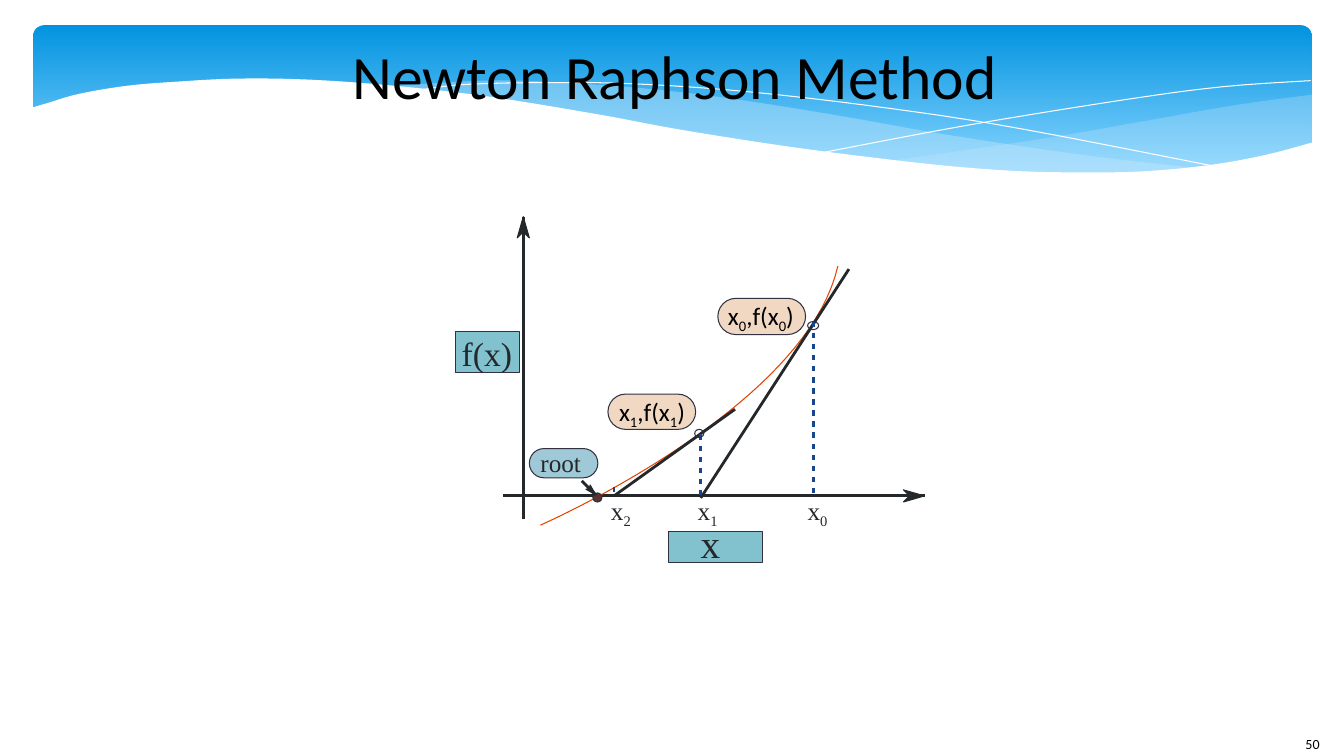
"""Build a slide that explains the Newton Raphson method with a tangent diagram."""
from math import hypot

from lxml.etree import SubElement
from pptx import Presentation
from pptx.dml.color import RGBColor
from pptx.enum.shapes import MSO_CONNECTOR as Link, MSO_SHAPE as Preset
from pptx.enum.text import MSO_ANCHOR as Anchor, MSO_AUTO_SIZE as Fit, PP_ALIGN as Align
from pptx.oxml.ns import qn
from pptx.util import Inches, Pt

SERIF, SANS = "Times New Roman", "Calibri"
INK, EDGE, RING, DASH, CURVE = "24282B", "323141", "2D313E", "17458E", "E54200"
TEAL, SAND, SKY, DOT, HAZE = "82C1CE", "F0D8C2", "9FC9D6", "5A3433", "C6E7FC"
BLACK, WHITE = "000000", "FFFFFF"

WAVE = [(13.03, 1.41), (12.54, 1.54), (11.98, 1.64), (11.34, 1.7), (10.78, 1.71),
        (10.15, 1.7), (9.44, 1.65), (8.63, 1.56), (7.72, 1.44), (6.71, 1.28),
        (5.96, 1.14), (4.86, 0.96), (3.9, 0.85), (3.06, 0.79), (2.35, 0.78),
        (1.76, 0.81), (1.27, 0.85), (0.79, 0.93), (0.48, 1.02), (0.31, 1.07)]
RIGHT_TOP = [(13.01, 0.94), (12.27, 1.04), (11.47, 1.18), (10.38, 1.37), (8.82, 1.6)]
RIGHT_BASE = [(8.82, 1.6), (9.58, 1.67), (10.41, 1.72), (11.13, 1.72), (11.86, 1.66),
              (12.47, 1.56), (13.01, 1.42)]
MIDDLE_TOP = [(11.9, 1.67), (10.76, 1.54), (9.41, 1.34), (8.39, 1.16), (7.4, 1),
              (6.52, 0.89), (5.6, 0.82), (4.82, 0.8), (3.82, 0.86)]
MIDDLE_BASE = [(3.82, 0.86), (4.83, 0.97), (5.99, 1.16), (7.55, 1.43), (8.67, 1.58),
               (9.63, 1.68), (10.46, 1.72), (11.18, 1.72), (11.9, 1.67)]
FALLING = [(4.12, 0.9), (4.58, 0.84), (5.35, 0.82), (6.25, 0.83), (7.42, 0.91),
           (8.86, 1.08), (10.14, 1.28), (12.1, 1.66)]
RISING = [(8.18, 1.51), (9.61, 1.24), (11.15, 0.99), (12.13, 0.86), (13, 0.8)]


def color(value):
    """Return the colour for a hex string."""
    return RGBColor.from_string(value)


def assign(target, values):
    """Set every attribute in a dict of format values."""
    for name, value in values.items():
        setattr(target, name, value)


def stroke(line, value):
    """Draw a hairline, or none when no colour is given."""
    if value:
        line.color.rgb = color(value)
        line.width = Pt(0)
    else:
        line.fill.background()


def paint(shape, fill=None, line=None, alpha=None):
    """Set the fill, outline and opacity of a shape without a shadow."""
    shape.shadow.inherit = False
    stroke(shape.line, line)
    if not fill:
        shape.fill.background()
        return
    shape.fill.solid()
    shape.fill.fore_color.rgb = color(fill)
    if alpha:
        tint = shape.element.spPr.find(qn("a:solidFill"))[0]
        SubElement(tint, qn("a:alpha")).set("val", str(alpha * 1000))


def add_preset(page, kind, place, **look):
    """Add a preset shape at left, top, width, height."""
    shape = page.shapes.add_shape(kind, *map(Inches, place))
    paint(shape, **look)
    return shape


def add_outline(page, points, close=True, **look):
    """Add a freeform through the given points."""
    start, *rest = [(Inches(x), Inches(y)) for x, y in points]
    builder = page.shapes.build_freeform(*start)
    builder.add_line_segments(rest, close=close)
    paint(builder.convert_to_shape(), **look)


def add_line(page, start, end, value=INK):
    """Add a straight hairline."""
    ends = map(Inches, (*start, *end))
    link = page.shapes.add_connector(Link.STRAIGHT, *ends)
    stroke(link.line, value)
    SubElement(link._element.spPr, qn("a:effectLst"))


def add_arrow(page, start, end, length=0.21, half=0.06, notch=0.15):
    """Add a line that ends in a notched arrowhead."""
    add_line(page, start, end)
    span = hypot(end[0] - start[0], end[1] - start[1])
    ux, uy = (end[0] - start[0]) / span, (end[1] - start[1]) / span
    head = [(end[0] - back * ux - side * uy, end[1] - back * uy + side * ux)
            for back, side in ((notch, 0), (length, half), (0, 0), (length, -half))]
    add_outline(page, head, fill=INK, line=INK)


def add_dashes(page, x, top, count, pitch=0.11, dash=0.055):
    """Add a vertical row of equal dashes."""
    for index in range(count):
        y = top + index * pitch
        add_line(page, (x, y), (x, y + dash), DASH)


def write(para, text, size, face, value):
    """Write text in which every second part between bars is a subscript."""
    for index, part in enumerate(text.split("|")):
        if not part:
            continue
        span = para.add_run()
        span.text = part
        assign(span.font, {"size": Pt(size), "name": face})
        span.font.color.rgb = color(value)
        if index % 2:
            span._r.get_or_add_rPr().set("baseline", "-25000")


def add_text(page, text, place, size=18, face=SERIF, value=INK, margin=0):
    """Add a one-line text box."""
    frame = page.shapes.add_textbox(*map(Inches, place)).text_frame
    assign(frame, {"word_wrap": False, "auto_size": Fit.SHAPE_TO_FIT_TEXT,
                   "margin_left": Inches(margin), "margin_right": Inches(margin),
                   "margin_top": Inches(margin / 2), "margin_bottom": Inches(margin / 2)})
    write(frame.paragraphs[0], text, size, face, value)


def smooth(points, steps=5):
    """Return a Catmull-Rom curve through the points."""
    padded = [points[0], *points, points[-1]]
    curve = [points[0]]
    for a, b, c, d in zip(padded, padded[1:], padded[2:], padded[3:]):
        for t in (step / steps for step in range(1, steps + 1)):
            curve.append(tuple(
                q + ((r - p) * t + (2 * p - 5 * q + 4 * r - s) * t ** 2
                     + (3 * q - p - 3 * r + s) * t ** 3) / 2
                for p, q, r, s in zip(a, b, c, d)))
    return curve


def bezier(a, b, c, d, steps=40):
    """Return points on a cubic curve."""
    return [tuple((1 - t) ** 3 * p + 3 * (1 - t) ** 2 * t * q + 3 * (1 - t) * t ** 2 * r
                  + t ** 3 * s for p, q, r, s in zip(a, b, c, d))
            for t in (step / steps for step in range(steps + 1))]


def add_banner(page):
    """Draw the blue banner with its waves."""
    band = add_preset(page, Preset.ROUNDED_RECTANGLE, (0.33, 0.25, 12.68, 1.56))
    band.adjustments[0] = 0.07
    band.fill.gradient()
    band.fill.gradient_angle = 270
    for stop, value, position in zip(band.fill.gradient_stops, ("0293E0", "83D3FE"), (0, 0.9)):
        stop.color.rgb = color(value)
        stop.position = position
    add_outline(page, smooth(RIGHT_TOP) + smooth(RIGHT_BASE), fill=HAZE, alpha=29)
    add_outline(page, smooth(MIDDLE_TOP) + smooth(MIDDLE_BASE), fill=HAZE, alpha=40)
    for strand in (FALLING, RISING):
        add_outline(page, smooth(strand), close=False, line=WHITE)
    add_outline(page, smooth(WAVE) + [(0.31, 2.24), (13.03, 2.24)], fill=WHITE)


def add_title(page, text):
    """Place the title in front of the banner."""
    title = page.shapes.title
    title.element.getparent().append(title.element)
    places = map(Inches, (2.64, 0.23, 8.11, 1.02))
    assign(title, dict(zip(("left", "top", "width", "height"), places)))
    frame = title.text_frame
    assign(frame, {"vertical_anchor": Anchor.MIDDLE, "margin_left": 0, "margin_right": 0,
                   "margin_top": 0, "margin_bottom": 0})
    frame.paragraphs[0].alignment = Align.CENTER
    write(frame.paragraphs[0], text, 44, SANS, BLACK)


def add_diagram(page):
    """Draw the axes, the curve, its tangents and the labels."""
    for place in ((6.63, 5.27, 0.93, 0.31), (4.52, 3.29, 0.63, 0.41)):
        add_preset(page, Preset.RECTANGLE, place, fill=TEAL, line=EDGE)
    for place, fill in (((7.12, 2.96, 0.87, 0.36), SAND), ((6.03, 3.91, 0.87, 0.35), SAND),
                        ((5.25, 4.45, 0.68, 0.29), SKY)):
        capsule = add_preset(page, Preset.ROUNDED_RECTANGLE, place, fill=fill, line=EDGE)
        capsule.adjustments[0] = 0.5
    add_arrow(page, (4.99, 4.92), (9.17, 4.92))
    add_arrow(page, (5.19, 5.15), (5.19, 2.15))
    curve = bezier((8.31, 2.64), (7.99, 4.06), (5.36, 5.21), (5.36, 5.21))
    add_outline(page, curve, close=False, line=CURVE)
    add_line(page, (8.42, 2.67), (6.95, 4.94))
    add_line(page, (7.29, 4.06), (6.09, 4.92))
    for x, top, count in ((8.07, 3.19, 16), (6.95, 4.31, 6), (6.09, 4.83, 1)):
        add_dashes(page, x, top, count)
    for place, fill in (((8.01, 3.19, 0.11, 0.08), None), ((6.89, 4.26, 0.09, 0.08), None),
                        ((5.88, 4.89, 0.09, 0.09), DOT)):
        add_preset(page, Preset.OVAL, place, fill=fill, line=RING)
    add_arrow(page, (5.77, 4.77), (5.91, 4.91), length=0.11, half=0.03, notch=0.09)
    for index, left in enumerate((8.01, 6.92, 6.06)):
        add_text(page, f"x|{index}", (left, 4.91, 0.21, 0.3))
    for index, left, top in ((0, 7.22, 2.98), (1, 6.14, 3.93)):
        add_text(page, f"x|{index}|,f(x|{index}|)", (left, top, 0.7, 0.3), face=SANS, value=BLACK)
    add_text(page, "root", (5.36, 4.44, 0.41, 0.3))
    add_text(page, "x", (6.95, 5.15, 0.19, 0.47), size=28)
    add_text(page, "f(x)", (4.58, 3.3, 0.5, 0.4), size=24)


def main():
    """Build and save the deck."""
    deck = Presentation()
    assign(deck, {"slide_width": Inches(13.33), "slide_height": Inches(7.5)})
    page = deck.slides.add_slide(deck.slide_layouts[5])
    add_banner(page)
    add_text(page, "50", (12.85, 7.25, 0.34, 0.27), size=10, face=SANS, value=BLACK, margin=0.1)
    add_title(page, "Newton Raphson Method")
    add_diagram(page)
    deck.save("out.pptx")


if __name__ == "__main__":
    main()
